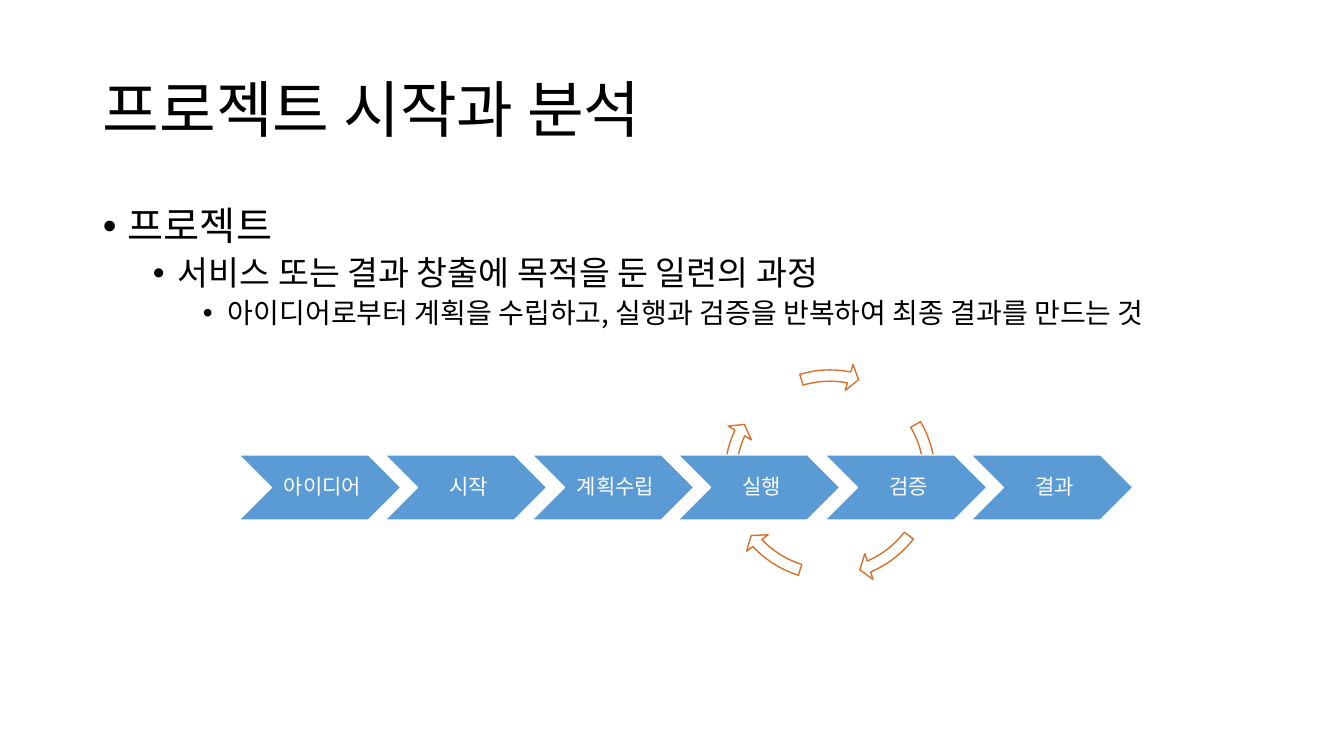
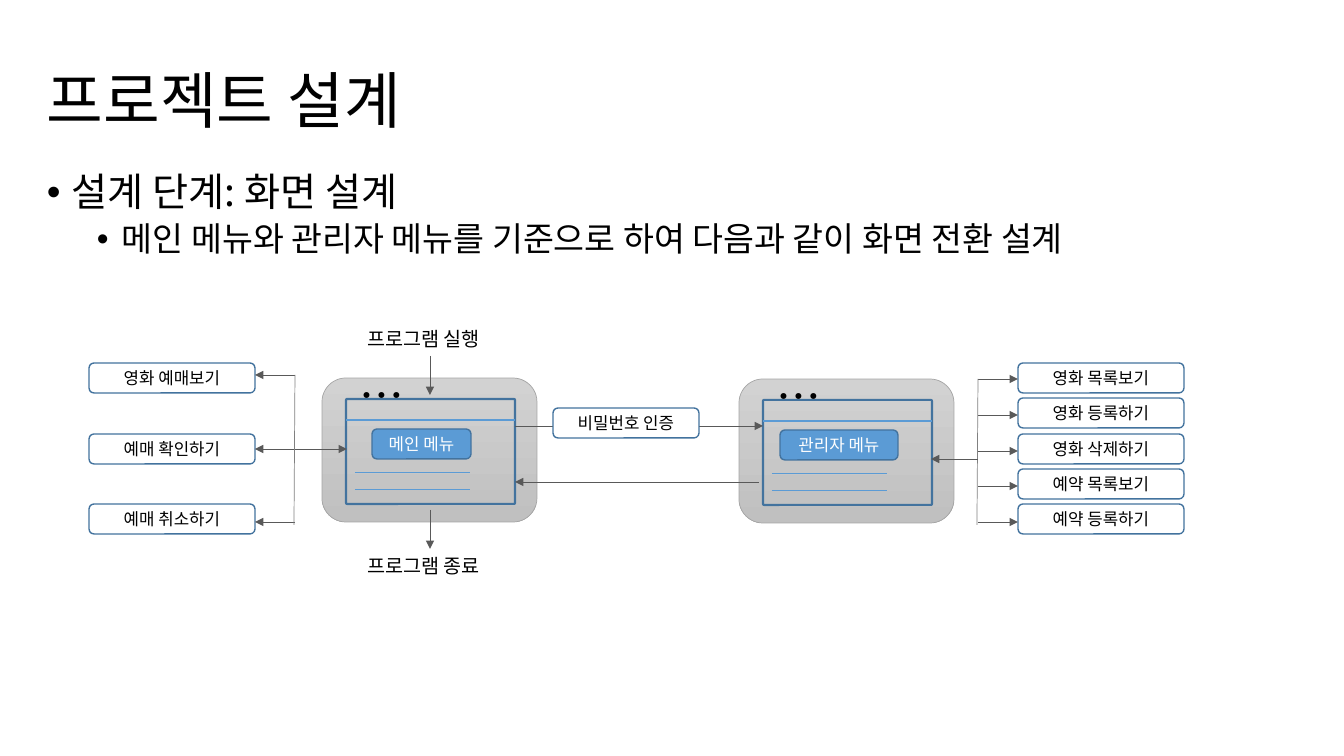
from lxml.etree import SubElement
from pptx import Presentation
from pptx.dml.color import RGBColor
from pptx.enum.shapes import MSO_CONNECTOR, MSO_SHAPE as SHAPE
from pptx.enum.text import MSO_ANCHOR as ANCHOR, MSO_AUTO_SIZE, PP_ALIGN as ALIGN
from pptx.oxml.ns import qn
from pptx.util import Emu, Pt

FONT = "Noto Sans CJK KR"
BLACK = RGBColor(0x00, 0x00, 0x00)
WHITE = RGBColor(0xFF, 0xFF, 0xFF)
BLUE = RGBColor(0x5B, 0x9B, 0xD5)
DARK_BLUE = RGBColor(0x43, 0x73, 0x9E)
ORANGE = RGBColor(0xD7, 0x71, 0x2C)
ARROW_GREY = RGBColor(0x59, 0x59, 0x59)
TRUNK_GREY = RGBColor(0x80, 0x80, 0x80)
PANEL_EDGE = RGBColor(0xA5, 0xA5, 0xA5)
PANEL_TOP = RGBColor(0xD2, 0xD2, 0xD2)
PANEL_BOTTOM = RGBColor(0xC0, 0xC0, 0xC0)

STEPS = ["아이디어", "시작", "계획수립", "실행", "검증", "결과"]
CYCLE_ANGLES = [(212.94, 197.66), (40.16, 22.53), (82.12, 64.49),
                (122.99, 107.7), (168.67, 151.98)]
USER_MENU = ["영화 예매보기", "예매 확인하기", "예매 취소하기"]
ADMIN_MENU = ["영화 목록보기", "영화 등록하기", "영화 삭제하기",
              "예약 목록보기", "예약 등록하기"]
BODY_SIZES = [28, 24, 20]


def px(n):
    """Turn px into EMU."""
    return Emu(round(n * 12192000 / 1344))


def spread(first, last, count):
    """Return evenly spaced positions from first to last."""
    return [round(first + (last - first) * i / (count - 1)) for i in range(count)]


def write(p, text, size=12, color=BLACK, align=ALIGN.LEFT, spacing=None, before=0):
    """Write one formatted run into a paragraph."""
    p.alignment = align
    p.space_before = Pt(before)
    if spacing:
        p.line_spacing = spacing
    r = p.add_run()
    r.text = text
    r.font.size = Pt(size)
    r.font.color.rgb = color
    r.font.name = FONT
    SubElement(r.font._element, qn("a:ea")).set("typeface", FONT)


def set_frame(tf, anchor=ANCHOR.MIDDLE, insets=(10, 5, 10, 5)):
    """Set wrapping, anchor and insets of a text frame."""
    tf.word_wrap = True
    tf.auto_size = MSO_AUTO_SIZE.NONE
    tf.vertical_anchor = anchor
    tf.margin_left, tf.margin_top, tf.margin_right, tf.margin_bottom = map(px, insets)
    return tf


def add_box(s, kind, box, fill=None, line=None, width=1):
    """Add a preset shape with a plain fill and outline."""
    sp = s.shapes.add_shape(kind, *map(px, box))
    sp.shadow.inherit = False
    if fill is None:
        sp.fill.background()
    else:
        sp.fill.solid()
        sp.fill.fore_color.rgb = fill
    sp.line.color.rgb = line
    sp.line.width = Pt(width)
    return sp


def add_label(s, text, box, **fmt):
    """Add a text box with one line."""
    tf = set_frame(s.shapes.add_textbox(*map(px, box)).text_frame)
    write(tf.paragraphs[0], text, **fmt)


def add_button(s, text, box, fill=WHITE, color=BLACK):
    """Add a rounded button with centred text."""
    sp = add_box(s, SHAPE.ROUNDED_RECTANGLE, box, fill, DARK_BLUE)
    tf = set_frame(sp.text_frame, insets=(0, 0, 0, 0))
    write(tf.paragraphs[0], text, color=color, align=ALIGN.CENTER)


def add_line(s, start, end, color=ARROW_GREY, width=0.5, arrow=False):
    """Add a straight line, with an arrowhead at its end if wanted."""
    c = s.shapes.add_connector(MSO_CONNECTOR.STRAIGHT, *map(px, (*start, *end)))
    c.line.color.rgb = color
    c.line.width = Pt(width)
    if arrow:
        SubElement(c.line._get_or_add_ln(), qn("a:tailEnd")).set("type", "triangle")
    SubElement(c._element.spPr, qn("a:effectLst"))


def add_slide(prs, title, title_box, lines, body_box):
    """Add a slide with its title and one bullet per outline level."""
    s = prs.slides.add_slide(prs.slide_layouts[5])
    sp = s.shapes.title
    sp.left, sp.top, sp.width, sp.height = map(px, title_box)
    tf = set_frame(sp.text_frame)
    write(tf.paragraphs[0], title, size=44, spacing=0.9)
    tf = set_frame(s.shapes.add_textbox(*map(px, body_box)).text_frame, ANCHOR.TOP)
    for level, text in enumerate(lines):
        p = tf.add_paragraph() if level else tf.paragraphs[0]
        p.level = level
        pPr = p._p.get_or_add_pPr()
        pPr.set("marL", str(px(25 + 50 * level)))
        pPr.set("indent", str(px(-25)))
        SubElement(pPr, qn("a:buFont")).set("typeface", "Arial")
        SubElement(pPr, qn("a:buChar")).set("char", "•")
        write(p, text, size=BODY_SIZES[level], spacing=0.9, before=5 if level else 0)
    return s


def add_cycle(s, box):
    """Draw the ring of block arrows."""
    for end, start in CYCLE_ANGLES:
        sp = add_box(s, SHAPE.CIRCULAR_ARROW, box, WHITE, ORANGE)
        for i, value in enumerate((0.05, 3.36, end, start, 0.06)):
            sp.adjustments[i] = value


def add_process(s, x, y, last_x):
    """Draw the row of process chevrons."""
    for step, left in zip(STEPS, spread(x, last_x, len(STEPS))):
        sp = add_box(s, SHAPE.CHEVRON, (left, y, 162, 65), BLUE, WHITE)
        tf = set_frame(sp.text_frame, insets=(7, 2, 2, 2))
        write(tf.paragraphs[0], step, size=15, color=WHITE,
              align=ALIGN.CENTER, spacing=0.9)


def add_window(s, x, y, name, name_x, name_width):
    """Draw a screen window on its grey panel."""
    sp = add_box(s, SHAPE.ROUNDED_RECTANGLE, (x, y, 215, 144), WHITE, PANEL_EDGE, 0.5)
    sp.fill.gradient()
    sp.fill.gradient_angle = 270
    for stop, color in zip(sp.fill.gradient_stops, (PANEL_TOP, PANEL_BOTTOM)):
        stop.color.rgb = color
    sp = add_box(s, SHAPE.ROUNDED_RECTANGLE, (x + 24, y + 21, 169, 105),
                 line=DARK_BLUE, width=1.5)
    sp.adjustments[0] = 0.01
    add_button(s, name, (x + name_x, y + 51, name_width, 30), BLUE, WHITE)
    add_line(s, (x + 24, y + 42), (x + 193, y + 42), BLUE, 1.5)
    add_label(s, "…", (x + 28, y - 15, 70, 64), size=32)
    for dy in (94, 111):
        add_line(s, (x + 33, y + dy), (x + 148, y + dy), BLUE)


def add_menu(s, x, y, labels, trunk_x, edge_x, first_dy):
    """Draw a column of menu buttons with arrows from its trunk."""
    count = len(labels)
    for text, top in zip(labels, spread(y, y + 141, count)):
        add_button(s, text, (x, top, 166, 30))
    for dy in spread(first_dy, 159, count):
        add_line(s, (trunk_x, y + dy), (edge_x, y + dy), arrow=True)
    add_line(s, (trunk_x, y + first_dy), (trunk_x - 1, y + 162), TRUNK_GREY)


def add_screen_flow(s, x, y):
    """Draw the screen flow from the top left corner of its first menu."""
    add_window(s, x + 233, y + 15, "메인 메뉴", 50, 99)
    add_window(s, x + 650, y + 16, "관리자 메뉴", 41, 118)
    add_label(s, "프로그램 실행", (x + 268, y - 41, 146, 34), size=14)
    add_label(s, "프로그램 종료", (x + 268, y + 186, 146, 34), size=14)
    add_menu(s, x, y, USER_MENU, x + 206, x + 166, 12)
    add_menu(s, x + 929, y, ADMIN_MENU, x + 889, x + 929, 16)
    for x1, y1, x2, y2 in ((341, -7, 341, 32), (341, 147, 341, 186),
                           (206, 86, 258, 86), (889, 96, 842, 96),
                           (670, 119, 426, 119), (426, 63, 674, 63)):
        add_line(s, (x + x1, y + y1), (x + x2, y + y2), arrow=True)
    add_button(s, "비밀번호 인증", (x + 464, y + 45, 146, 30))


def main():
    """Build and save the presentation."""
    prs = Presentation()
    prs.slide_width, prs.slide_height = px(1344), px(756)
    s = add_slide(prs, "프로젝트 시작과 분석", (93, 40, 1159, 146),
                  ["프로젝트", "서비스 또는 결과 창출에 목적을 둔 일련의 과정",
                   "아이디어로부터 계획을 수립하고, 실행과 검증을 반복하여 최종 결과를 만드는 것"],
                  (93, 202, 1187, 480))
    add_cycle(s, (717, 362, 226, 226))
    add_process(s, 239, 455, 971)
    s = add_slide(prs, "프로젝트 설계", (37, 31, 1159, 146),
                  ["설계 단계: 화면 설계",
                   "메인 메뉴와 관리자 메뉴를 기준으로 하여 다음과 같이 화면 전환 설계"],
                  (37, 168, 1270, 545))
    add_screen_flow(s, 89, 363)
    prs.save("out.pptx")


if __name__ == "__main__":
    main()
